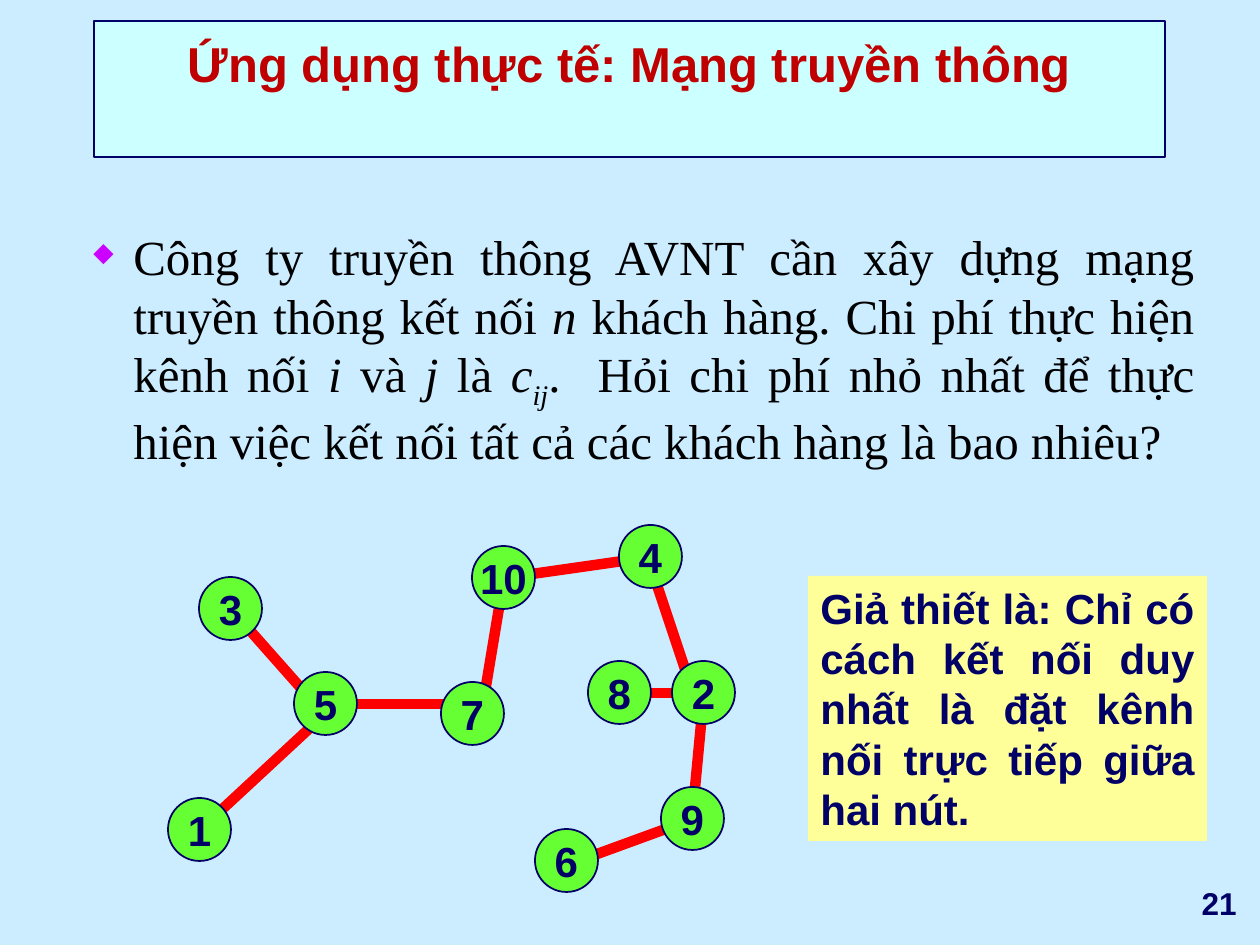
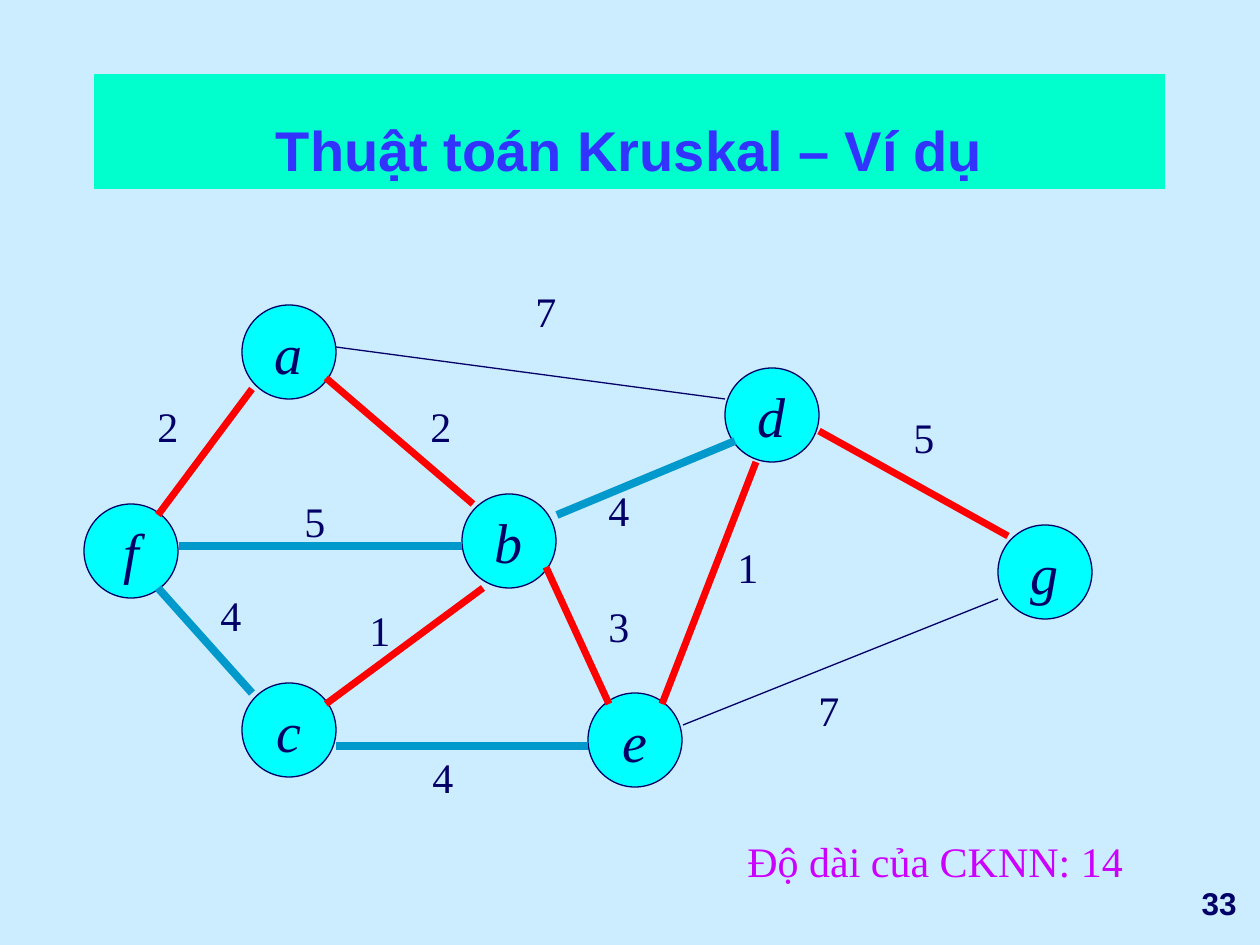
from lxml import etree
from pptx import Presentation
from pptx.dml.color import RGBColor
from pptx.enum.shapes import MSO_CONNECTOR, MSO_SHAPE
from pptx.enum.text import MSO_ANCHOR, MSO_AUTO_SIZE, PP_ALIGN
from pptx.oxml.ns import qn
from pptx.util import Emu, Pt

STRAIGHT = MSO_CONNECTOR.STRAIGHT
RECT, OVAL = MSO_SHAPE.RECTANGLE, MSO_SHAPE.OVAL
TOP, MIDDLE, BOTTOM = MSO_ANCHOR.TOP, MSO_ANCHOR.MIDDLE, MSO_ANCHOR.BOTTOM
LEFT, CENTER, RIGHT = PP_ALIGN.LEFT, PP_ALIGN.CENTER, PP_ALIGN.RIGHT
JUSTIFY = PP_ALIGN.JUSTIFY

SANS, SERIF = "Arial", "Times New Roman"
SKY, NAVY, RED, BLACK = "CCECFF", "000066", "FF0000", "000000"
BLUE, MAGENTA = "0099CC", "CC00FF"
TITLE_ONLY = 5
PX_PER_INCH = 126

NETWORK_NODE = 63
NETWORK_NODES = {
    "1": (168, 798), "6": (535, 829), "3": (199, 577), "7": (441, 682),
    "5": (294, 672), "8": (588, 661), "9": (661, 787), "4": (619, 525),
    "2": (672, 661), "10": (472, 546),
}
NETWORK_LINKS = [
    (325, 714, 189, 840), (315, 704, 231, 609), (325, 704, 462, 704),
    (483, 704, 504, 578), (620, 693, 693, 693), (651, 567, 693, 693),
    (704, 693, 693, 809), (693, 819, 578, 861), (651, 557, 504, 578),
]

GRAPH_NODE = 94
GRAPH_NODES = {
    "f": (84, 504), "d": (725, 368), "a": (242, 305), "b": (462, 494),
    "c": (242, 683), "e": (588, 693), "g": (998, 525),
}
UNUSED, CHOSEN, REJECTED = (NAVY, 0.75), (RED, 4), (BLUE, 4.5)
# ends of the edge, weight, left and top of the weight, line style
GRAPH_EDGES = [
    ((336, 347, 725, 399), "7", (523, 279), UNUSED),
    ((683, 725, 998, 599), "7", (806, 678), UNUSED),
    ((483, 588, 326, 704), "1", (357, 598), CHOSEN),
    ((756, 462, 662, 704), "1", (725, 535), CHOSEN),
    ((326, 378, 473, 504), "2", (418, 394), CHOSEN),
    ((252, 389, 158, 515), "2", (145, 394), CHOSEN),
    ((546, 567, 609, 704), "3", (596, 594), CHOSEN),
    ((819, 431, 1008, 536), "5", (901, 405), CHOSEN),
    ((336, 746, 588, 746), "4", (420, 745), REJECTED),
    ((158, 588, 252, 693), "4", (208, 583), REJECTED),
    ((557, 515, 735, 441), "4", (596, 478), REJECTED),
    ((179, 546, 462, 546), "5", (292, 489), REJECTED),
]


def px(n):
    return Emu(round(n * 914400 / PX_PER_INCH))


def rgb(color):
    return RGBColor.from_string(color)


def set_fill(sp, color):
    sp.fill.solid()
    sp.fill.fore_color.rgb = rgb(color)


def set_line(sp, color, width):
    if color is None:
        sp.line.fill.background()
    else:
        sp.line.color.rgb = rgb(color)
        sp.line.width = Pt(width)


def set_frame(sp, anchor=TOP, align=LEFT, wrap=True):
    """Prepare the text frame and return its first paragraph."""
    tf = sp.text_frame
    tf.auto_size = MSO_AUTO_SIZE.NONE
    tf.word_wrap = wrap
    tf.vertical_anchor = anchor
    p = tf.paragraphs[0]
    p.alignment = align
    return p


def add_run(p, text, size, font, color, bold=False, italic=False):
    r = p.add_run()
    r.text = text
    r.font.size = Pt(size)
    r.font.name = font
    r.font.bold = bold
    r.font.italic = italic
    r.font.color.rgb = rgb(color)
    return r


def add_diamond_bullet(p, margin, hang):
    pPr = p._p.get_or_add_pPr()
    pPr.set("marL", str(px(margin)))
    pPr.set("indent", str(-px(hang)))
    color = etree.SubElement(pPr, qn("a:buClr"))
    etree.SubElement(color, qn("a:srgbClr"), val=MAGENTA)
    etree.SubElement(pPr, qn("a:buSzPct"), val="54000")
    etree.SubElement(pPr, qn("a:buChar"), char="◆")


def add_text(s, box, text, size, font, color, align=LEFT, anchor=TOP, wrap=False, bold=False):
    sp = s.shapes.add_textbox(*map(px, box))
    add_run(set_frame(sp, anchor, align, wrap), text, size, font, color, bold)


def add_panel(shapes, kind, box, fill, line=None, width=0):
    sp = shapes.add_shape(kind, *map(px, box))
    sp.shadow.inherit = False
    set_fill(sp, fill)
    set_line(sp, line, width)
    return sp


def add_nodes(shapes, nodes, diameter, fill, width, **font):
    for name, place in nodes.items():
        sp = add_panel(shapes, OVAL, (*place, diameter, diameter), fill, NAVY, width)
        add_run(set_frame(sp, MIDDLE, CENTER, wrap=False), name, color=NAVY, **font)


def add_edge(shapes, ends, color, width):
    line = shapes.add_connector(STRAIGHT, *map(px, ends))
    set_line(line, color, width)
    etree.SubElement(line._element.spPr, qn("a:effectLst"))


def add_titled_slide(prs, title, number, top, height, fill, size, color):
    """Add a slide with its title band and page number."""
    s = prs.slides.add_slide(prs.slide_layouts[TITLE_ONLY])
    sp = s.shapes.title
    sp.left, sp.top, sp.width, sp.height = map(px, (94, top, 1071, height))
    set_fill(sp, fill)
    add_run(set_frame(sp, BOTTOM, CENTER), title, size, SANS, color, bold=True)
    add_text(s, (1007, 871, 242, 63), number, 18, SANS, NAVY, RIGHT, MIDDLE,
             wrap=True, bold=True)
    return s


def add_problem(s):
    sp = s.shapes.add_textbox(*map(px, (73, 220, 1134, 347)))
    p = set_frame(sp, align=JUSTIFY)
    add_diamond_bullet(p, margin=48, hang=40)
    parts = [
        ("Công ty truyền thông AVNT cần xây dựng mạng truyền thông kết nối ", False),
        ("n", True),
        (" khách hàng. Chi phí thực hiện kênh nối ", False),
        ("i", True),
        (" và ", False),
        ("j", True),
        (" là ", False),
        ("c", True),
        ("ij", True),
        (".  Hỏi chi phí nhỏ nhất để thực hiện việc kết nối "
         "tất cả các khách hàng là bao nhiêu?", False),
    ]
    for text, italic in parts:
        r = add_run(p, text, 28, SERIF, BLACK, italic=italic)
        if text == "ij":
            r.font._element.set("baseline", "-25000")


def build_network_slide(prs):
    s = add_titled_slide(prs, "Ứng dụng thực tế: Mạng truyền thông", "21",
                         top=21, height=136, fill="CCFFFF", size=28, color="C00000")
    set_line(s.shapes.title, NAVY, 0.75)
    s.shapes.title.text_frame.margin_bottom = px(65)
    add_problem(s)

    network = s.shapes.add_group_shape().shapes
    for ends in NETWORK_LINKS:
        add_edge(network, ends, RED, 6)
    add_nodes(network, NETWORK_NODES, NETWORK_NODE, "66FF33", 1,
              size=24, font=SANS, bold=True)

    note = add_panel(s.shapes, RECT, (808, 576, 399, 265), "FFFF99")
    add_run(set_frame(note, align=JUSTIFY),
            "Giả thiết là: Chỉ có cách kết nối duy nhất là đặt kênh nối "
            "trực tiếp giữa hai nút.", 24, SANS, NAVY, bold=True)


def build_kruskal_slide(prs):
    s = add_titled_slide(prs, "Thuật toán Kruskal – Ví dụ", "33",
                         top=74, height=115, fill="00FFCC", size=32, color="3333FF")
    add_nodes(s.shapes, GRAPH_NODES, GRAPH_NODE, "00FFFF", 0.75,
              size=32, font=SERIF, italic=True)
    for ends, weight, place, style in GRAPH_EDGES:
        add_edge(s.shapes, ends, *style)
        add_text(s, (*place, 45, 63), weight, 24, SERIF, NAVY)
    add_text(s, (735, 829, 401, 63), "Độ dài của CKNN: 14", 24, SERIF, MAGENTA)


def main():
    prs = Presentation()
    prs.slide_width, prs.slide_height = px(1260), px(945)
    set_fill(prs.slide_master.background, SKY)
    build_network_slide(prs)
    build_kruskal_slide(prs)
    prs.save("out.pptx")


if __name__ == "__main__":
    main()
